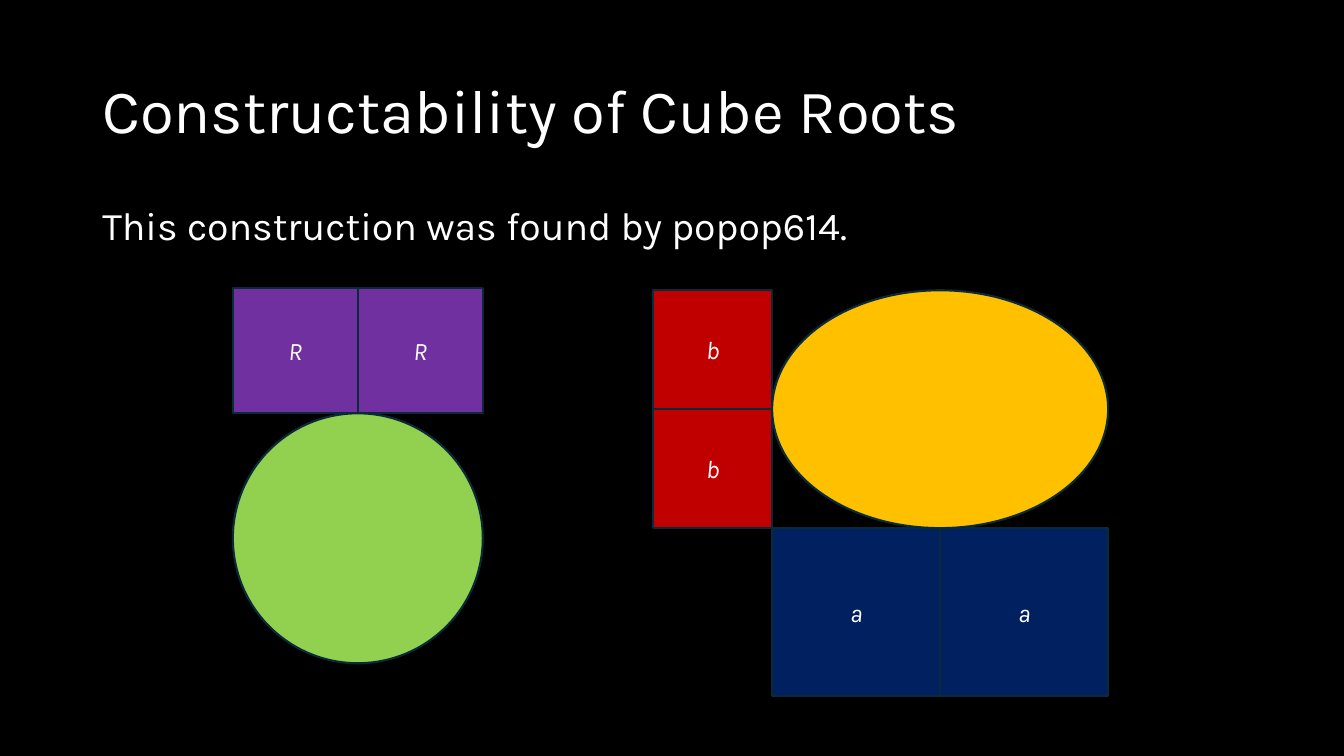
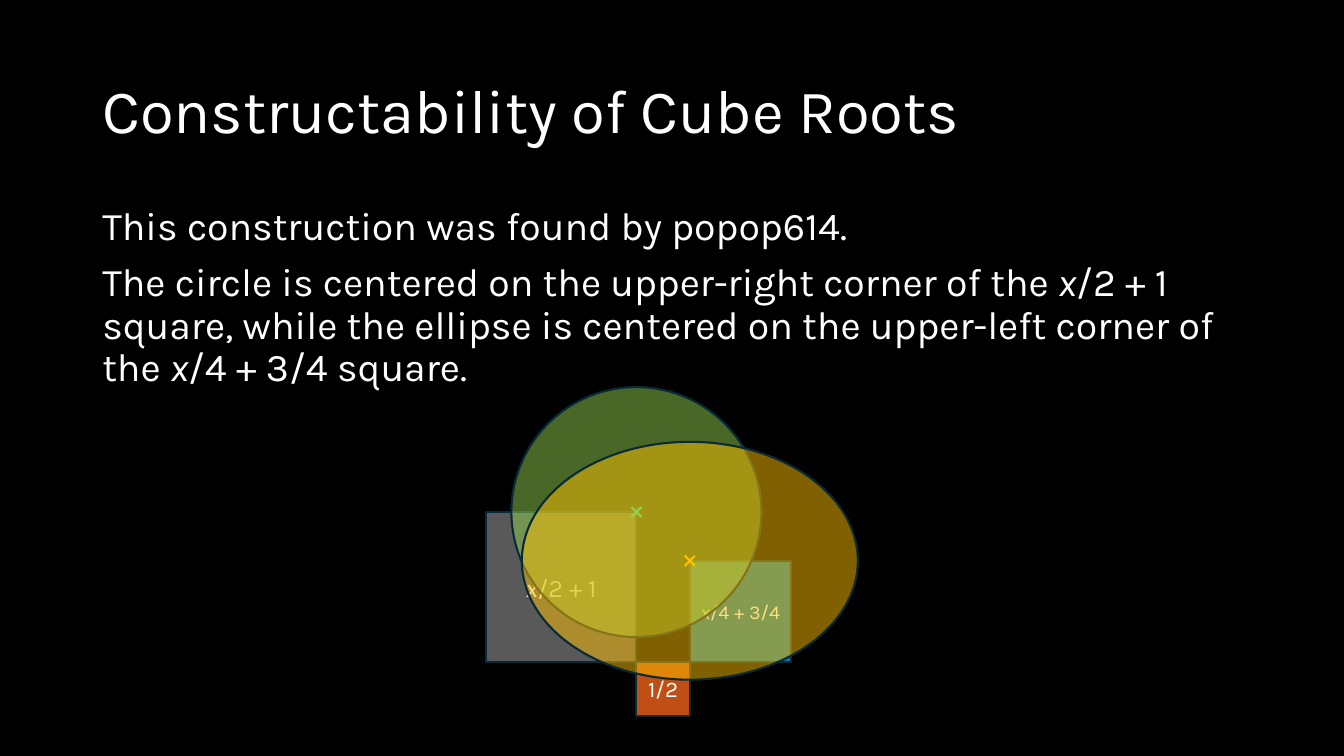
"""Builds two slides on the constructability of cube roots from squares, a circle and an ellipse."""
import dataclasses

import lxml.etree
import pptx
import pptx.dml.color
import pptx.enum.shapes
import pptx.enum.text
import pptx.oxml.ns
import pptx.util


@dataclasses.dataclass(frozen=True)
class Theme:
    font: str = "Karla"
    background: str = "000000"
    text: str = "FFFFFF"
    outline: str = "092A39"
    circle: str = "92D050"
    ellipse: str = "FFC000"
    radius_square: str = "7030A0"
    wide_square: str = "002060"
    tall_square: str = "C00000"
    large_square: str = "595959"
    small_square: str = "0B76A0"
    half_square: str = "C04F15"
    title_size: int = 44
    body_size: int = 28
    label_size: int = 18
    half_size: int = 16
    small_size: int = 14
    line_width: float = 1.5


theme = Theme()
rgb = pptx.dml.color.RGBColor.from_string
qn = pptx.oxml.ns.qn
preset = pptx.enum.shapes.MSO_SHAPE
anchors = pptx.enum.text.MSO_ANCHOR
aligns = pptx.enum.text.PP_ALIGN

deck = pptx.Presentation()
deck.slide_width = pptx.util.Inches(13.333)
deck.slide_height = pptx.util.Inches(7.5)
cell = deck.slide_height / 45


def write(frame, lines, size, align, spacing=1.0):
    """Write the lines into a frame; text between asterisks is italic."""
    frame.word_wrap = True
    for index, line in enumerate(lines):
        para = frame.add_paragraph() if index else frame.paragraphs[0]
        para.alignment = align
        para.line_spacing = spacing
        if index:
            para.space_before = pptx.util.Pt(10)
        para.font.name = theme.font
        para.font.size = pptx.util.Pt(size)
        para.font.color.rgb = rgb(theme.text)
        for part, text in enumerate(line.split("*")):
            if text:
                span = para.add_run()
                span.text = text
                span.font.italic = part % 2 == 1


def draw(page, kind, place, color, label="", size=theme.label_size, opacity=100):
    """Draw an outlined shape at (column, row, columns, rows) with a centred label."""
    shape = page.shapes.add_shape(kind, *(round(length * cell) for length in place))
    shape.shadow.inherit = False
    shape.fill.solid()
    shape.fill.fore_color.rgb = rgb(color)
    shape.line.color.rgb = rgb(theme.outline)
    shape.line.width = pptx.util.Pt(theme.line_width)
    if opacity < 100:
        tint = shape._element.spPr.find(qn("a:solidFill")).find(qn("a:srgbClr"))
        lxml.etree.SubElement(tint, qn("a:alpha")).set("val", str(opacity * 1000))
    if label:
        frame = shape.text_frame
        frame.margin_left = frame.margin_right = 0
        frame.vertical_anchor = anchors.MIDDLE
        write(frame, [label], size, aligns.CENTER)


credit = "This construction was found by popop614."
placement = (
    "The circle is centered on the upper-right corner of the *x*/2 + 1 square, "
    "while the ellipse is centered on the upper-left corner of the *x*/4 + 3/4 square."
)
pages = []
for body_lines in ([credit], [credit, placement]):
    page = deck.slides.add_slide(deck.slide_layouts[6])
    page.background.fill.solid()
    page.background.fill.fore_color.rgb = rgb(theme.background)
    for top, height, lines, size, anchor in (
        (2.4, 8.7, ["Constructability of Cube Roots"], theme.title_size, anchors.MIDDLE),
        (12, 28.5, body_lines, theme.body_size, anchors.TOP),
    ):
        box = page.shapes.add_textbox(*(round(length * cell) for length in (5.5, top, 69, height)))
        box.text_frame.vertical_anchor = anchor
        write(box.text_frame, lines, size, aligns.LEFT, 0.9)
    pages.append(page)
parts_page, assembly_page = pages

radius, semi_wide, semi_tall = 7.44, 10, 7.08
circle_left, circle_top = 13.86, 24.6
ellipse_left, ellipse_top = 45.96, 17.28
ellipse_bottom = ellipse_top + 2 * semi_tall

for step in range(2):
    for left, top, side, color, label in (
        (circle_left + step * radius, circle_top - radius, radius, theme.radius_square, "*R*"),
        (ellipse_left + step * semi_wide, ellipse_bottom, semi_wide, theme.wide_square, "*a*"),
        (ellipse_left - semi_tall, ellipse_top + step * semi_tall, semi_tall, theme.tall_square, "*b*"),
    ):
        draw(parts_page, preset.RECTANGLE, (left, top, side, side), color, label)
draw(parts_page, preset.OVAL, (circle_left, circle_top, 2 * radius, 2 * radius), theme.circle)
draw(parts_page, preset.OVAL, (ellipse_left, ellipse_top, 2 * semi_wide, 2 * semi_tall), theme.ellipse)

large, half, small = 8.94, 3.18, 6.04
seam, ground = 37.88, 39.42
for left, top, side, color, label, size in (
    (seam - large, ground - large, large, theme.large_square, "*x*/2 + 1", theme.label_size),
    (seam, ground, half, theme.half_square, "1/2", theme.half_size),
    (seam + half, ground - small, small, theme.small_square, "*x*/4 + 3/4", theme.small_size),
):
    draw(assembly_page, preset.RECTANGLE, (left, top, side, side), color, label, size)

curves = (
    (seam, ground - large, radius, radius, theme.circle),
    (seam + half, ground - small, semi_wide, semi_tall, theme.ellipse),
)
for x, y, across, down, color in curves:
    draw(assembly_page, preset.OVAL, (x - across, y - down, 2 * across, 2 * down), color, opacity=50)

arm = 0.3
for x, y, across, down, color in reversed(curves):
    for rise in (arm, -arm):
        ends = (x - arm, y - rise, x + arm, y + rise)
        stroke = assembly_page.shapes.add_connector(
            pptx.enum.shapes.MSO_CONNECTOR.STRAIGHT, *(round(length * cell) for length in ends)
        )
        stroke.line.color.rgb = rgb(color)
        stroke.line.width = pptx.util.Pt(theme.line_width)
        lxml.etree.SubElement(stroke._element.spPr, qn("a:effectLst"))

deck.save("out.pptx")
